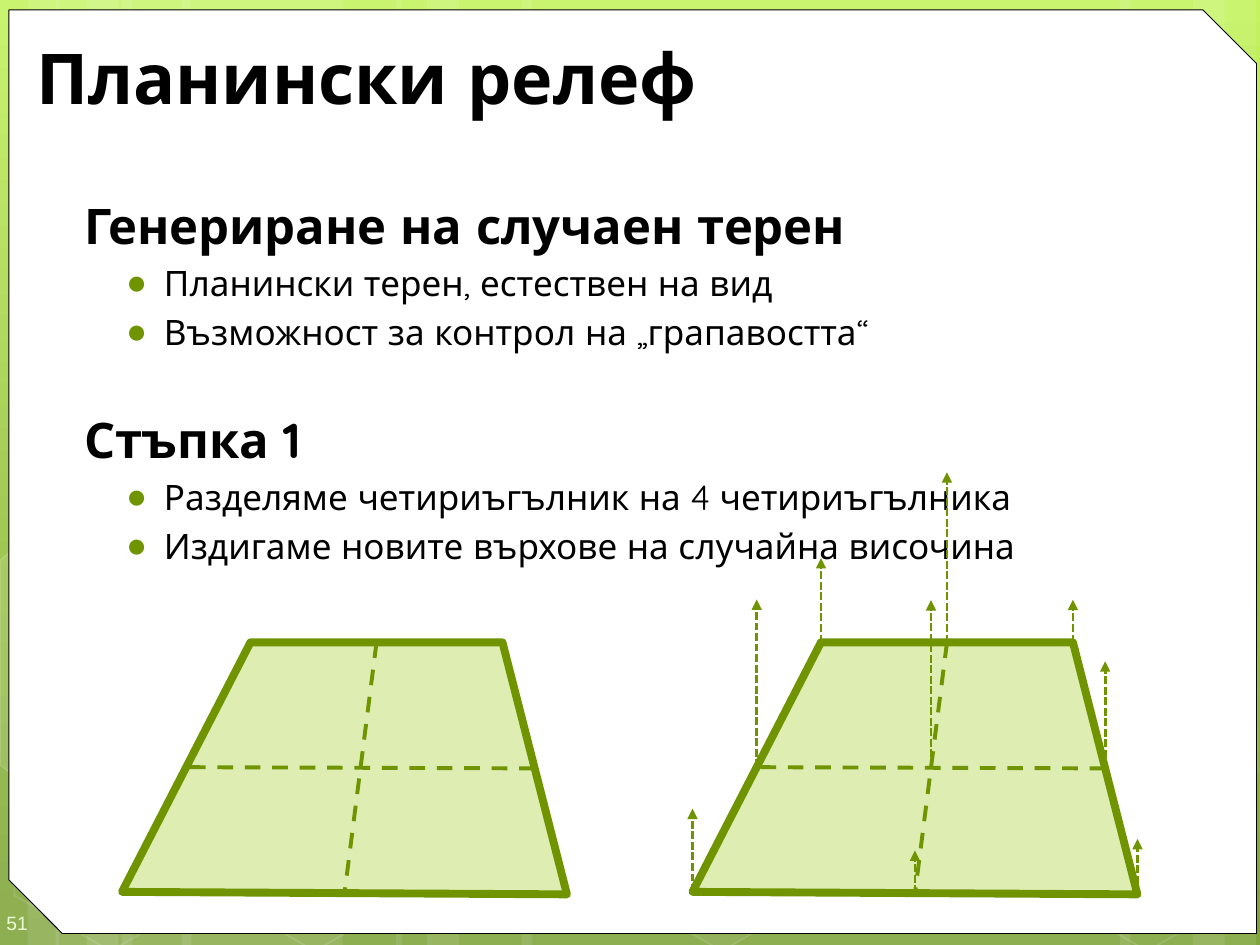
"""Build a slide on generating random mountain terrain."""
import copy

import pptx
import pptx.chart.data
import pptx.dml.color
import pptx.enum.dml
import pptx.enum.shapes
import pptx.enum.text
import pptx.oxml
import pptx.oxml.ns
import pptx.util
from lxml import etree

Cm, Pt = pptx.util.Cm, pptx.util.Pt
qn = pptx.oxml.ns.qn
Kind = pptx.enum.shapes.MSO_SHAPE
Dash = pptx.enum.dml.MSO_LINE
Anchor = pptx.enum.text.MSO_ANCHOR

HUES = {"ink": "000000", "white": "FFFFFF", "leaf": "6F9400", "lime": "94C600",
        "pale": "EEFFD6"}
SKY = [(0, "C3F35F"), (0.62, "93BF3F"), (1, "81A53E")]
FONT = "Quicksand"
TITLE = "Планински релеф"
BODY = [
    ("Генериране на случаен терен",
     ["Планински терен, естествен на вид",
      "Възможност за контрол на „грапавостта“"]),
    ("Стъпка 1",
     ["Разделяме четириъгълник на 4 четириъгълника",
      "Издигаме новите върхове на случайна височина"]),
]
BANDS = [(2.46, 4.45), (0, 1.19), (0.56, 2.11), (3.66, 4.45), (1.12, 1.27),
         (1.75, 2.11), (18.34, 4.45), (24.05, 1.27), (22.58, 2.11),
         (10.52, 7.82), (7.98, 1.27), (8.61, 2.11)]
HEXES = [(12.32, 6), (0, 0), (4.11, 0), (20.9, 0)]
EDGES = [
    ([(0, 11.3), (0.2, 11.13), (2.16, 12.24), (2.13, 14.48), (0.23, 15.6),
      (0, 15.42)], 10),
    ([(23.24, 12.32), (25.15, 11.2), (25.32, 11.33), (25.35, 15.57),
      (25.17, 15.67), (23.22, 14.55)], 4),
]
QUAD = {"sw": (2.46, 17.98), "se": (11.43, 18.03), "ne": (10.13, 12.95),
        "nw": (5.05, 12.95)}
SHIFT = 11.5
BACK = {"sw": 1.68, "nw": 1.7, "w": 3.38, "n": 3.43}
FRONT = {"ne": 0.86, "mid": 3.38, "e": 2.16, "se": 1.12, "s": 0.86}


def tint(color, hue, alpha=100):
    """Set a colour and its opacity in percent."""
    color.rgb = pptx.dml.color.RGBColor.from_string(hue)
    return alpha


def fade(shape, part, alpha):
    """Make the fill or line of a shape partly clear."""
    node = shape.element.spPr.find(part + "/" + qn("a:srgbClr"))
    etree.SubElement(node, qn("a:alpha"), val=str(alpha * 1000))


def paint(shape, fill=None, alpha=100, line=None, width=1, clear=100):
    """Set the fill and outline of a shape."""
    shape.shadow.inherit = False
    if fill and alpha:
        shape.fill.solid()
        tint(shape.fill.fore_color, fill)
        fade(shape, qn("a:solidFill"), alpha)
    else:
        shape.fill.background()
    if line:
        shape.line.width = Pt(width)
        tint(shape.line.color, line)
        fade(shape, qn("a:ln") + "/" + qn("a:solidFill"), clear)
    else:
        shape.line.fill.background()


def place(shape, left, top, width, height):
    """Move and size a shape in centimetres."""
    shape.left, shape.top, shape.width, shape.height = map(
        Cm, (left, top, width, height))


def write(para, text, size=20, bold=False, hue="ink", font=FONT):
    """Add a run of formatted text to a paragraph."""
    run = para.add_run()
    run.text = text
    run.font.name, run.font.size, run.font.bold = font, Pt(size), bold
    tint(run.font.color, HUES[hue])


def indent(para, left, first=0, mark=None):
    """Set the indents and the bullet of a paragraph."""
    prop = para._p.get_or_add_pPr()
    prop.set("marL", str(Cm(left)))
    prop.set("indent", str(Cm(first)))
    if mark:
        color = etree.SubElement(prop, qn("a:buClr"))
        etree.SubElement(color, qn("a:srgbClr"), val=HUES["leaf"])
        etree.SubElement(prop, qn("a:buChar"), char=mark)
    else:
        etree.SubElement(prop, qn("a:buNone"))


def shape(kind, *box):
    """Add a preset shape placed in centimetres."""
    return slide.shapes.add_shape(kind, *map(Cm, box))


def outline(points):
    """Add a closed polygon."""
    dots = [(Cm(x), Cm(y)) for x, y in points]
    pen = slide.shapes.build_freeform(*dots[0])
    pen.add_line_segments(dots[1:], close=True)
    return pen.convert_to_shape()


def stroke(start, end, width, dash, head=False):
    """Add a dashed line, with an arrowhead if asked."""
    line = slide.shapes.add_connector(
        pptx.enum.shapes.MSO_CONNECTOR.STRAIGHT, *map(Cm, start + end))
    line.line.width, line.line.dash_style = Pt(width), dash
    tint(line.line.color, HUES["leaf"])
    if head:
        etree.SubElement(line.line._get_or_add_ln(), qn("a:tailEnd"), type="triangle")
    etree.SubElement(line.element.spPr, qn("a:effectLst"))


def middle(one, two):
    """Return the point halfway between two points."""
    return (one[0] + two[0]) / 2, (one[1] + two[1]) / 2


def spots(shift):
    """Return the corners, side middles and centre of a shifted quad."""
    pts = {key: (x + shift, y) for key, (x, y) in QUAD.items()}
    for key, ends in {"n": ("nw", "ne"), "s": ("sw", "se"), "w": ("sw", "nw"),
                      "e": ("se", "ne"), "mid": ("n", "s")}.items():
        pts[key] = middle(pts[ends[0]], pts[ends[1]])
    return pts


def field(pts):
    """Draw a quad split in four."""
    paint(outline([pts[key] for key in QUAD]), HUES["lime"], 30, HUES["leaf"], 4.5)
    for start, end in (("n", "s"), ("e", "w")):
        stroke(pts[start], pts[end], 2.25, Dash.DASH)


def lift(pts, rises):
    """Draw upward arrows from the named points."""
    for key, rise in rises.items():
        x, y = pts[key]
        stroke((x, y), (x, y - rise), 1.5, Dash.SQUARE_DOT, True)


deck = pptx.Presentation()
deck.slide_width, deck.slide_height = Cm(25.4), Cm(19.05)
slide = deck.slides.add_slide(deck.slide_layouts[1])

sky = slide.background.fill
sky.gradient()
sky.gradient_angle = 270
stops = slide.element.find(".//" + qn("a:gsLst"))
stops.append(copy.deepcopy(stops[0]))
for stop, (spot, hue) in zip(sky.gradient_stops, SKY):
    stop.position = spot
    tint(stop.color, hue)

white = HUES["white"]
for left, width in BANDS:
    paint(shape(Kind.RECTANGLE, left, 0, width, 19.05), white, 10)
for left, alpha in HEXES:
    cell = shape(Kind.HEXAGON, left, 15.01, 4.45, 3.86)
    cell.rotation, cell.adjustments[0] = 30, 0.285
    paint(cell, white, alpha, white, 1, 12)
for points, alpha in EDGES:
    paint(outline(points), white, alpha, white, 1, 12)

panel = shape(Kind.SNIP_2_DIAG_RECTANGLE, 0.18, 0.2, 25.15, 18.62)
panel.adjustments[0], panel.adjustments[1] = 0, 0.058
paint(panel, white, 100, HUES["ink"], 0.5)

page = slide.shapes.add_textbox(Cm(0), Cm(18.03), Cm(1.47), Cm(1.02)).text_frame
page.word_wrap, page.vertical_anchor = True, Anchor.MIDDLE
page.margin_left, page.margin_top = Cm(0.13), Cm(0.38)
page.margin_right, page.margin_bottom = Cm(0), Cm(0.25)
write(page.paragraphs[0], "51", size=11, hue="pale", font="Arial")

title, body = slide.placeholders[0], slide.placeholders[1]
place(title, 0.48, 0.64, 24.05, 1.8)
place(body, 1.27, 3.81, 23.93, 15.04)
for box in (title, body):
    slide.shapes.element.append(box.element)
    box.text_frame.auto_size = pptx.enum.text.MSO_AUTO_SIZE.NONE
title.text_frame.vertical_anchor = Anchor.MIDDLE
head = title.text_frame.paragraphs[0]
head.alignment = pptx.enum.text.PP_ALIGN.LEFT
write(head, TITLE, size=40, bold=True)

frame = body.text_frame
for rank, (topic, items) in enumerate(BODY):
    para = frame.add_paragraph() if rank else frame.paragraphs[0]
    indent(para, 0.18)
    para.space_before = Pt(33 if rank else 0)
    write(para, topic, size=28, bold=True)
    for item in items:
        para = frame.add_paragraph()
        para.level = 1
        indent(para, 1.78, -0.76, "●")
        write(para, item)

field(spots(0))
goal = spots(SHIFT)
lift(goal, BACK)
field(goal)
lift(goal, FRONT)
deck.save("out.pptx")
